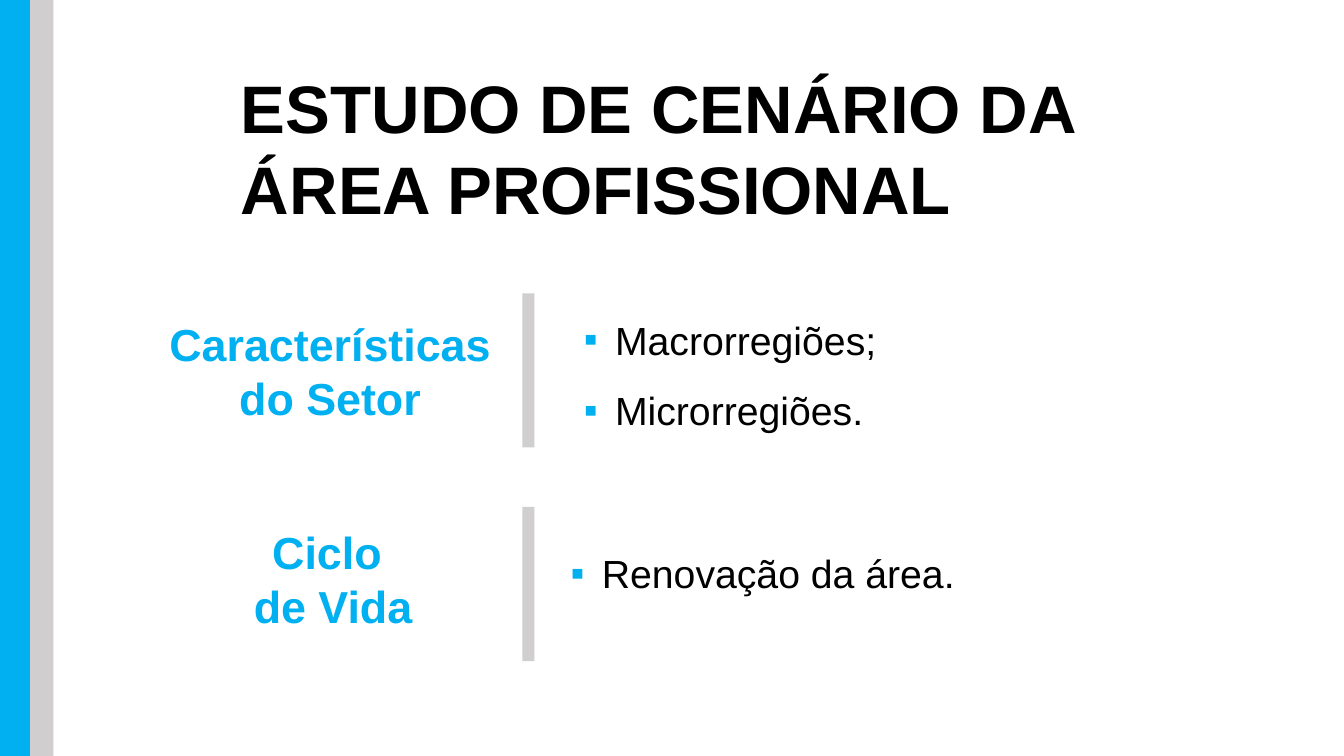
from lxml.etree import SubElement
from pptx import Presentation
from pptx.dml.color import RGBColor
from pptx.enum.shapes import MSO_SHAPE
from pptx.enum.text import MSO_ANCHOR, MSO_AUTO_SIZE, PP_ALIGN
from pptx.oxml.ns import qn
from pptx.util import Inches, Pt

COLORS = {"blue": "00B0F0", "gray": "D0CECE", "black": "000000"}
FONT = "Arial"
TWO_CONTENT = 3


def place(sp, left, top, width, height):
    sp.left, sp.top = Inches(left), Inches(top)
    sp.width, sp.height = Inches(width), Inches(height)


def prepare_frame(sp):
    tf = sp.text_frame
    tf.word_wrap = True
    tf.auto_size = MSO_AUTO_SIZE.SHAPE_TO_FIT_TEXT
    tf.vertical_anchor = MSO_ANCHOR.TOP
    return tf


def add_lines(tf, lines, size, color, bold, align):
    for i, line in enumerate(lines):
        p = tf.add_paragraph() if i else tf.paragraphs[0]
        p.alignment = align
        p.space_before = Pt(0)
        r = p.add_run()
        r.text = line
        r.font.name = FONT
        r.font.size = Pt(size)
        r.font.bold = bold
        r.font.color.rgb = RGBColor.from_string(COLORS[color])


def set_bullet(p):
    pPr = p._p.get_or_add_pPr()
    pPr.set("marL", str(Inches(0.31)))
    pPr.set("indent", str(Inches(-0.31)))
    buClr = SubElement(pPr, qn("a:buClr"))
    SubElement(buClr, qn("a:srgbClr"), val=COLORS["blue"])
    SubElement(pPr, qn("a:buFont"), typeface=FONT)
    SubElement(pPr, qn("a:buChar"), char="▪")


def fill_title(sp, text):
    place(sp, 2.29, 0.61, 8.76, 1.72)
    add_lines(prepare_frame(sp), [text], 48, "black", True, PP_ALIGN.LEFT)


def fill_list(sp, items, box):
    place(sp, *box)
    tf = prepare_frame(sp)
    add_lines(tf, items, 28, "black", False, PP_ALIGN.JUSTIFY)
    for p in tf.paragraphs:
        p.line_spacing = 1.5
        set_bullet(p)


def add_heading(slide, lines, box):
    sp = slide.shapes.add_textbox(*map(Inches, box))
    add_lines(prepare_frame(sp), lines, 32, "blue", True, PP_ALIGN.CENTER)


def add_bar(slide, color, box):
    sp = slide.shapes.add_shape(MSO_SHAPE.RECTANGLE, *map(Inches, box))
    sp.shadow.inherit = False
    sp.fill.solid()
    sp.fill.fore_color.rgb = RGBColor.from_string(COLORS[color])
    sp.line.fill.background()


def main():
    prs = Presentation()
    prs.slide_width, prs.slide_height = Inches(13.33), Inches(7.5)
    slide = prs.slides.add_slide(prs.slide_layouts[TWO_CONTENT])
    title, sector_list, cycle_list = slide.placeholders

    fill_title(title, "ESTUDO DE CENÁRIO DA ÁREA PROFISSIONAL")
    add_bar(slide, "blue", (0, 0, 0.33, 7.5))
    add_bar(slide, "gray", (0.3, 0, 0.23, 7.5))

    fill_list(sector_list, ["Macrorregiões;", "Microrregiões."],
              (5.69, 2.85, 6.17, 1.44))
    fill_list(cycle_list, ["Renovação da área."], (5.56, 5.17, 6.17, 0.72))
    add_heading(slide, ["Características ", "do Setor"],
                (1.56, 3.09, 3.43, 1.18))
    add_heading(slide, ["Ciclo ", "de Vida"], (1.72, 5.16, 3.17, 1.18))
    for top in (2.91, 5.03):
        add_bar(slide, "gray", (5.18, top, 0.12, 1.53))

    prs.save("out.pptx")


if __name__ == "__main__":
    main()
